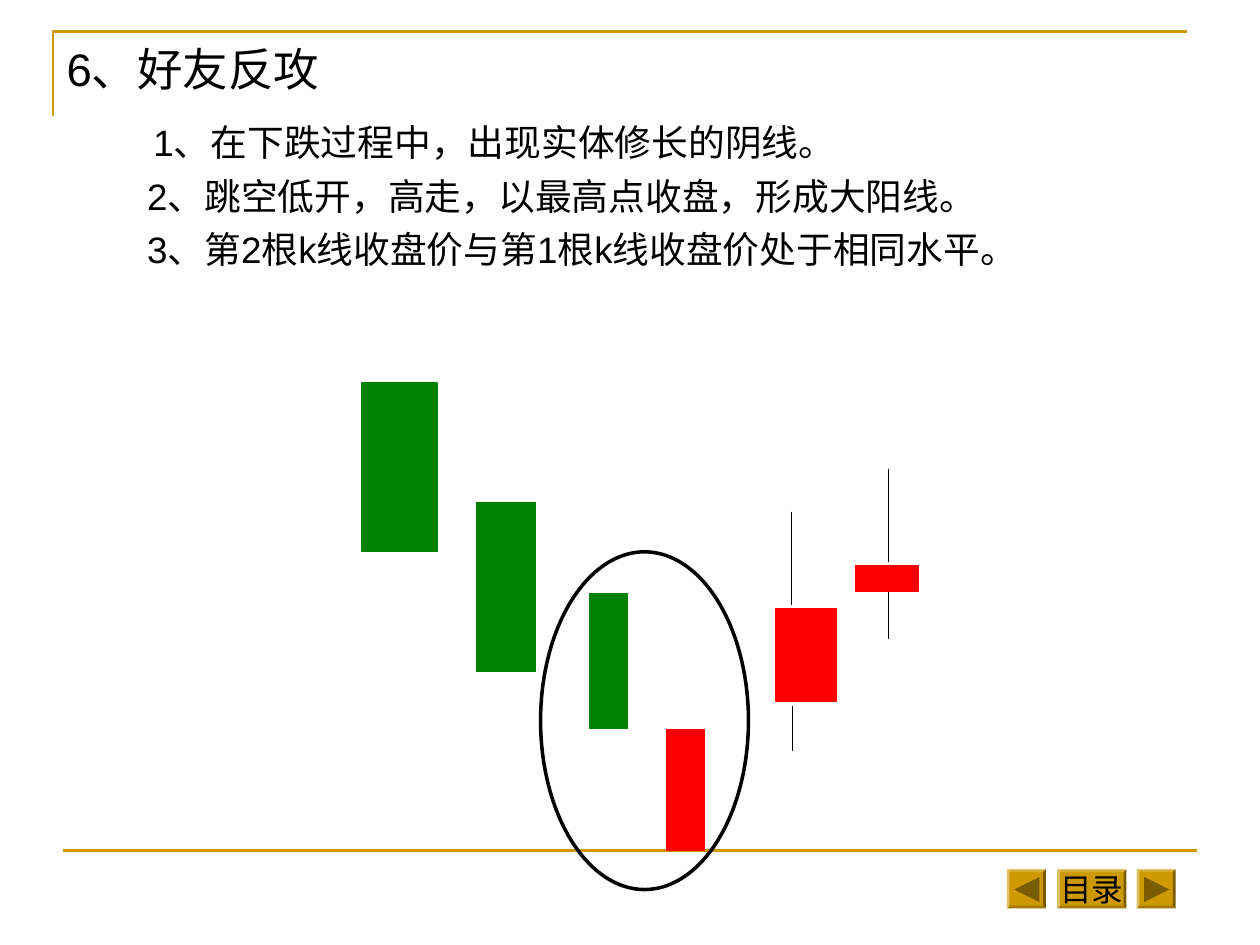
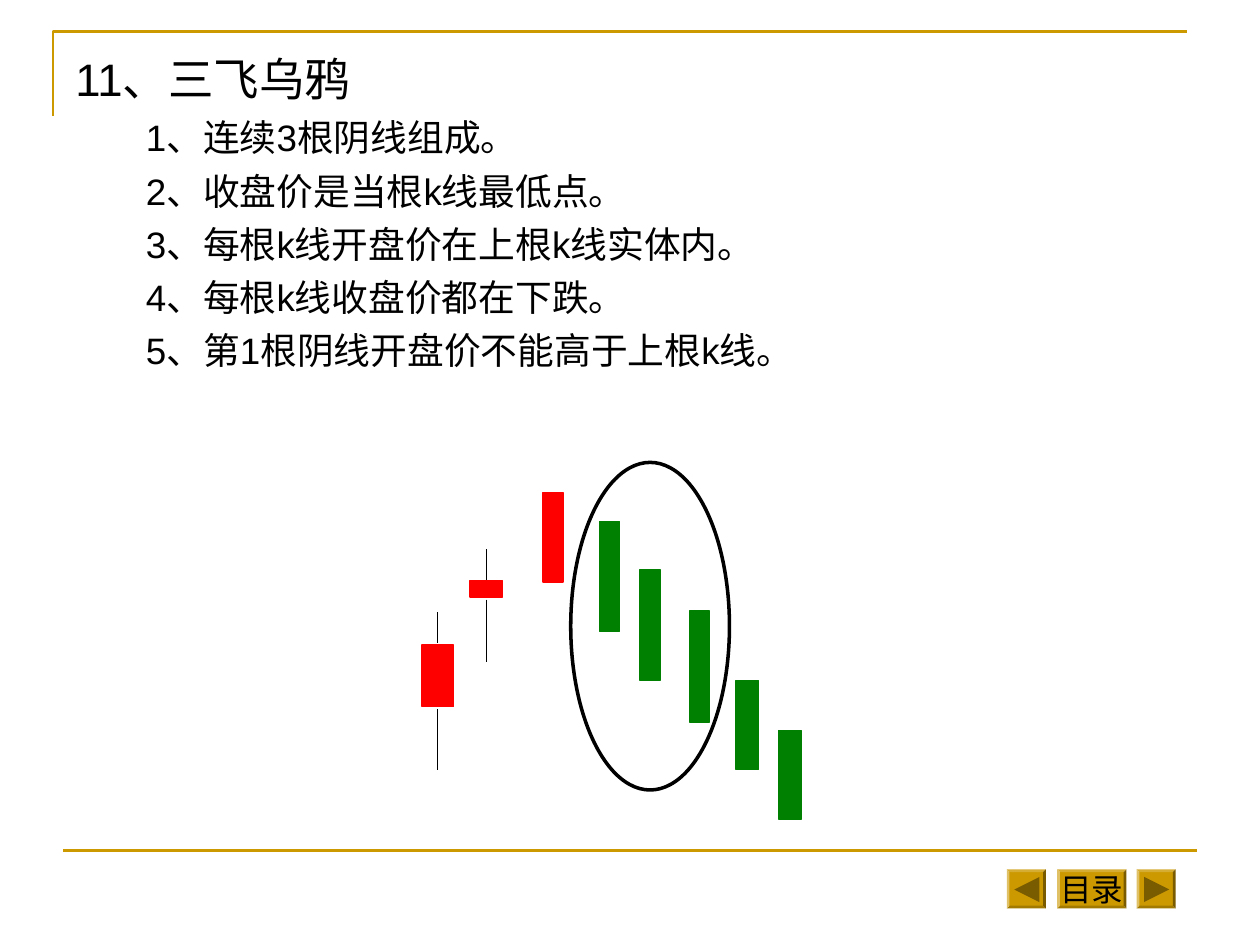
from lxml.etree import SubElement
from pptx import Presentation
from pptx.dml.color import RGBColor
from pptx.enum.lang import MSO_LANGUAGE_ID as Lang
from pptx.enum.shapes import MSO_CONNECTOR as Conn, MSO_SHAPE as Kind
from pptx.enum.text import MSO_ANCHOR as Anchor, PP_ALIGN as Align
from pptx.oxml.ns import qn
from pptx.util import Inches, Pt

GOLD, BROWN, BLACK = "CC9900", "7A5C00", "000000"
RED, GREEN = "FF0000", "008000"
FONT = {"name": "Arial", "language_id": Lang.SIMPLIFIED_CHINESE}


def paint(color, hue):
    color.rgb = RGBColor.from_string(hue)


def style(font, size):
    for key, value in {**FONT, "size": Pt(size)}.items():
        setattr(font, key, value)
    paint(font.color, BLACK)


def finish(shape, fill=None, line=None, width=0.75):
    """Set fill and outline; None leaves either one out."""
    shape.shadow.inherit = False
    if fill:
        shape.fill.solid()
        paint(shape.fill.fore_color, fill)
    else:
        shape.fill.background()
    if line:
        paint(shape.line.color, line)
        shape.line.width = Pt(width)
    else:
        shape.line.fill.background()


def add_form(slide, kind, box, **look):
    shape = slide.shapes.add_shape(kind, *map(Inches, box))
    finish(shape, **look)
    return shape


def add_rule(slide, start, end, hue=BLACK, width=0.75):
    rule = slide.shapes.add_connector(
        Conn.STRAIGHT, *map(Inches, (*start, *end)))
    paint(rule.line.color, hue)
    rule.line.width = Pt(width)
    SubElement(rule._element.spPr, qn("a:effectLst"))


def add_button(slide, left, width, text=None, turn=None):
    """Draw a bevelled button with a label or a turned triangle."""
    key = add_form(slide, Kind.BEVEL, (left, 6.9, width, 0.31), fill=GOLD)
    key.adjustments[0] = 0.07
    if text:
        frame = key.text_frame
        frame.word_wrap = False
        frame.vertical_anchor = Anchor.MIDDLE
        para = frame.paragraphs[0]
        para.text = text
        para.alignment = Align.CENTER
        style(para.runs[0].font, 18)
    else:
        mark = add_form(slide, Kind.ISOSCELES_TRIANGLE,
                        (left + 0.06, 6.96, 0.2, 0.2), fill=BROWN)
        mark.rotation = turn


def add_frame(slide):
    pen = slide.shapes.build_freeform(Inches(0.42), Inches(0.92))
    pen.add_line_segments(
        [(Inches(0.42), Inches(0.25)), (Inches(9.42), Inches(0.25))],
        close=False)
    finish(pen.convert_to_shape(), line=GOLD, width=1.5)
    add_rule(slide, (0.5, 6.75), (9.5, 6.75), GOLD, 1.5)
    add_button(slide, 8.39, 0.55, text="目录")
    add_button(slide, 7.99, 0.31, turn=270)
    add_button(slide, 9.02, 0.31, turn=90)


def add_text(slide, box, title, items, indent, lead=5.2, nudge=0):
    """Write title and items; lead and nudge shift the first item."""
    frame = slide.shapes.add_textbox(*map(Inches, box)).text_frame
    frame.word_wrap = True
    head = frame.paragraphs[0]
    head.text = title
    style(head.runs[0].font, 26)
    for rank, item in enumerate(items):
        para = frame.add_paragraph()
        para.text = item
        para.space_before = Pt(5.2 if rank else lead)
        props = para._p.get_or_add_pPr()
        props.set("marL", str(Inches(indent)))
        props.set("indent", str(0 if rank else Inches(nudge)))
        style(para.runs[0].font, 21)


def add_candles(slide, hue, bodies):
    for box in bodies:
        add_form(slide, Kind.RECTANGLE, box, fill=hue, line=hue)


def add_wicks(slide, wicks):
    for x, top, end in wicks:
        add_rule(slide, (x, top), (x, end))


def add_ring(slide, box):
    add_form(slide, Kind.OVAL, box, line=BLACK, width=2)


def add_rally(slide):
    add_text(slide, (0.43, 0.28, 9, 6.61), "6、好友反攻", [
        "1、在下跌过程中，出现实体修长的阴线。",
        "2、跳空低开，高走，以最高点收盘，形成大阳线。",
        "3、第2根k线收盘价与第1根k线收盘价处于相同水平。",
    ], indent=0.64, lead=13.8, nudge=0.05)
    add_candles(slide, GREEN, [
        (2.87, 3.04, 0.6, 1.34), (3.78, 3.99, 0.47, 1.34),
        (4.68, 4.71, 0.3, 1.07)])
    add_candles(slide, RED, [
        (5.29, 5.79, 0.3, 0.96), (6.16, 4.83, 0.48, 0.74),
        (6.79, 4.49, 0.5, 0.2)])
    add_wicks(slide, [
        (6.28, 4.06, 4.8), (6.29, 5.6, 5.96),
        (7.05, 3.72, 4.46), (7.05, 4.7, 5.07)])
    add_ring(slide, (4.29, 4.38, 1.65, 2.68))


def add_crows(slide):
    add_text(slide, (0.5, 0.36, 9, 6.34), "11、三飞乌鸦", [
        "1、连续3根阴线组成。",
        "2、收盘价是当根k线最低点。",
        "3、每根k线开盘价在上根k线实体内。",
        "4、每根k线收盘价都在下跌。",
        "5、第1根阴线开盘价不能高于上根k线。",
    ], indent=0.56)
    add_candles(slide, RED, [
        (3.35, 5.12, 0.25, 0.49), (3.73, 4.61, 0.26, 0.13),
        (4.31, 3.91, 0.16, 0.71)])
    add_candles(slide, GREEN, [
        (4.76, 4.14, 0.16, 0.87), (5.08, 4.52, 0.16, 0.88),
        (5.47, 4.85, 0.16, 0.88), (5.84, 5.4, 0.18, 0.71),
        (6.18, 5.8, 0.18, 0.7)])
    add_wicks(slide, [
        (3.47, 4.86, 5.1), (3.47, 5.63, 6.11),
        (3.86, 4.36, 4.6), (3.86, 4.76, 5.25)])
    add_ring(slide, (4.53, 3.67, 1.26, 2.6))


def main():
    deck = Presentation()
    deck.slide_width, deck.slide_height = Inches(10), Inches(7.5)
    for fill_in in (add_rally, add_crows):
        slide = deck.slides.add_slide(deck.slide_layouts[6])
        add_frame(slide)
        fill_in(slide)
    deck.save("out.pptx")


if __name__ == "__main__":
    main()
